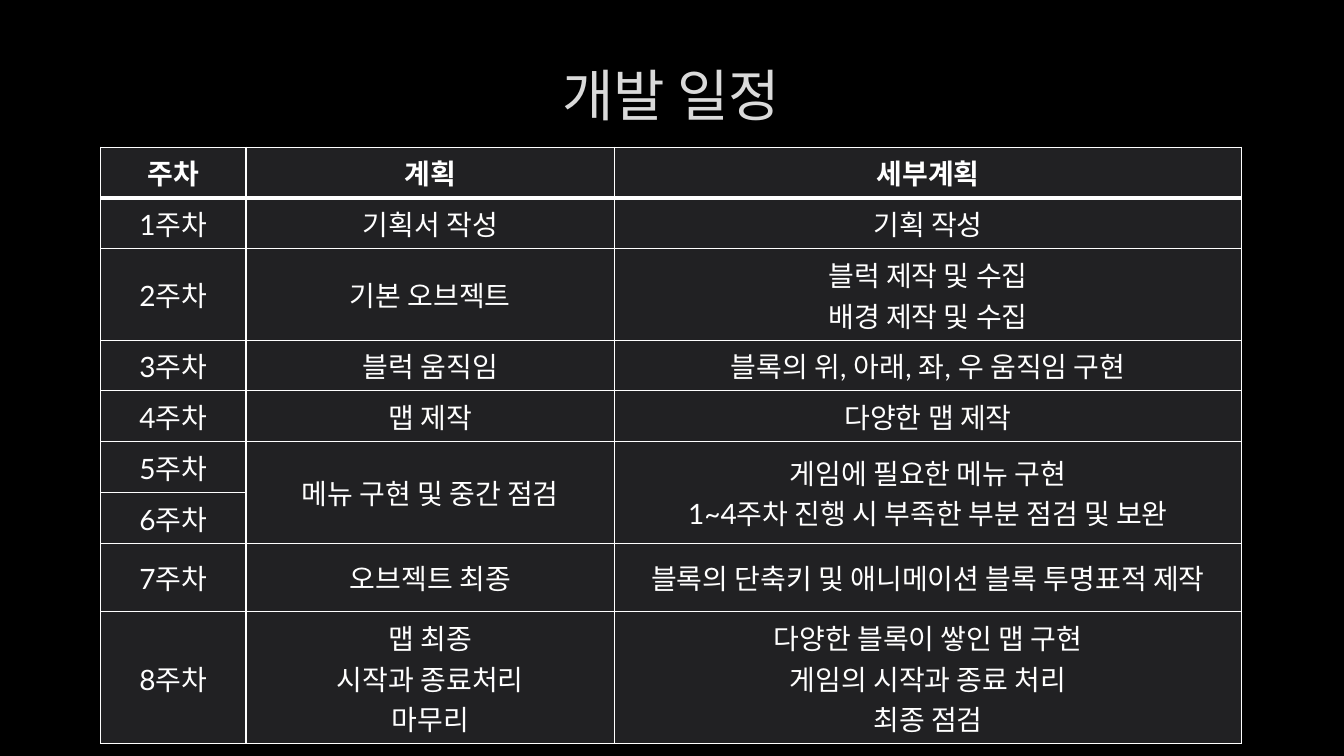
from lxml import etree
from pptx import Presentation
from pptx.dml.color import RGBColor
from pptx.enum.text import MSO_ANCHOR, PP_ALIGN
from pptx.oxml.ns import qn
from pptx.util import Cm, Pt

CENTER = PP_ALIGN.CENTER
MIDDLE = MSO_ANCHOR.MIDDLE
FONT = "Lato"
COLORS = {"background": "000000", "title": "DADADA", "outline": "404040",
          "cell": "212123", "text": "FFFFFF"}

TITLE = "개발 일정"
COLUMN_WIDTHS = [3.66, 9.29, 15.8]
# Row height in cm, week, plan, details
SCHEDULE = [
    (1.27, "주차", "계획", "세부계획"),
    (1.27, "1주차", "기획서 작성", "기획 작성"),
    (2.28, "2주차", "기본 오브젝트", "블럭 제작 및 수집\n배경 제작 및 수집"),
    (1.27, "3주차", "블럭 움직임", "블록의 위, 아래, 좌, 우 움직임 구현"),
    (1.27, "4주차", "맵 제작", "다양한 맵 제작"),
    (1.27, "5주차", "메뉴 구현 및 중간 점검",
     "게임에 필요한 메뉴 구현\n1~4주차 진행 시 부족한 부분 점검 및 보완"),
    (1.27, "6주차", "", ""),
    (1.73, "7주차", "오브젝트 최종", "블록의 단축키 및 애니메이션 블록 투명표적 제작"),
    (3.3, "8주차", "맵 최종\n시작과 종료처리\n마무리",
     "다양한 블록이 쌓인 맵 구현\n게임의 시작과 종료 처리\n최종 점검"),
]
MERGED_WEEKS = (5, 6)


def rgb(name):
    return RGBColor.from_string(COLORS[name])


def format_text(text_frame, size, color, bold=False):
    for paragraph in text_frame.paragraphs:
        paragraph.alignment = CENTER
        font = paragraph.font
        font.name, font.size, font.bold = FONT, Pt(size), bold
        font.color.rgb = rgb(color)


def make_line(tag, color, width, alpha=100):
    line = etree.Element(qn(tag), w=str(Pt(width)))
    fill = etree.SubElement(line, qn("a:solidFill"))
    shade = etree.SubElement(fill, qn("a:srgbClr"), val=COLORS[color])
    if alpha < 100:
        etree.SubElement(shade, qn("a:alpha"), val=str(alpha * 1000))
    return line


def add_title(slide, left, top, width, height):
    title = slide.shapes.title
    title.left, title.top, title.width, title.height = left, top, width, height
    title.text_frame.text = TITLE
    title.text_frame.vertical_anchor = MIDDLE
    format_text(title.text_frame, 40, "title")
    # Faint outline around the letters
    letters = title.text_frame.paragraphs[0].runs[0].font
    letters._element.insert(0, make_line("a:ln", "outline", 0.75, alpha=10))


def format_cell(cell, row):
    cell.fill.solid()
    cell.fill.fore_color.rgb = rgb("cell")
    cell.vertical_anchor = MIDDLE
    format_text(cell.text_frame, 20, "text", bold=row == 0)
    # Thin grid with a heavy rule under the header
    widths = {"a:lnL": 1, "a:lnR": 1,
              "a:lnT": 3 if row == 1 else 1, "a:lnB": 3 if row == 0 else 1}
    properties = cell._tc.get_or_add_tcPr()
    for place, (tag, width) in enumerate(widths.items()):
        properties.insert(place, make_line(tag, "text", width))


def add_schedule(slide, left, top, width, height):
    schedule = slide.shapes.add_table(
        len(SCHEDULE), len(COLUMN_WIDTHS), left, top, width, height).table
    schedule.first_row = schedule.horz_banding = False
    for column, column_width in zip(schedule.columns, COLUMN_WIDTHS):
        column.width = Cm(column_width)
    for row, (row_height, *texts) in enumerate(SCHEDULE):
        schedule.rows[row].height = Cm(row_height)
        for column, text in enumerate(texts):
            cell = schedule.cell(row, column)
            cell.text = text
            format_cell(cell, row)
    # Weeks 5 and 6 share one plan
    first, last = MERGED_WEEKS
    for column in (1, 2):
        schedule.cell(first, column).merge(schedule.cell(last, column))


def build_schedule_slide(presentation):
    slide = presentation.slides.add_slide(presentation.slide_layouts[5])
    slide.background.fill.solid()
    slide.background.fill.fore_color.rgb = rgb("background")
    left, width = Cm(2.54), Cm(sum(COLUMN_WIDTHS))
    add_title(slide, left, Cm(1.02), width, Cm(2.69))
    add_schedule(slide, left, Cm(3.71), width, Cm(sum(row[0] for row in SCHEDULE)))


def main():
    presentation = Presentation()
    presentation.slide_width, presentation.slide_height = Cm(33.87), Cm(19.05)
    build_schedule_slide(presentation)
    presentation.save("out.pptx")


if __name__ == "__main__":
    main()
